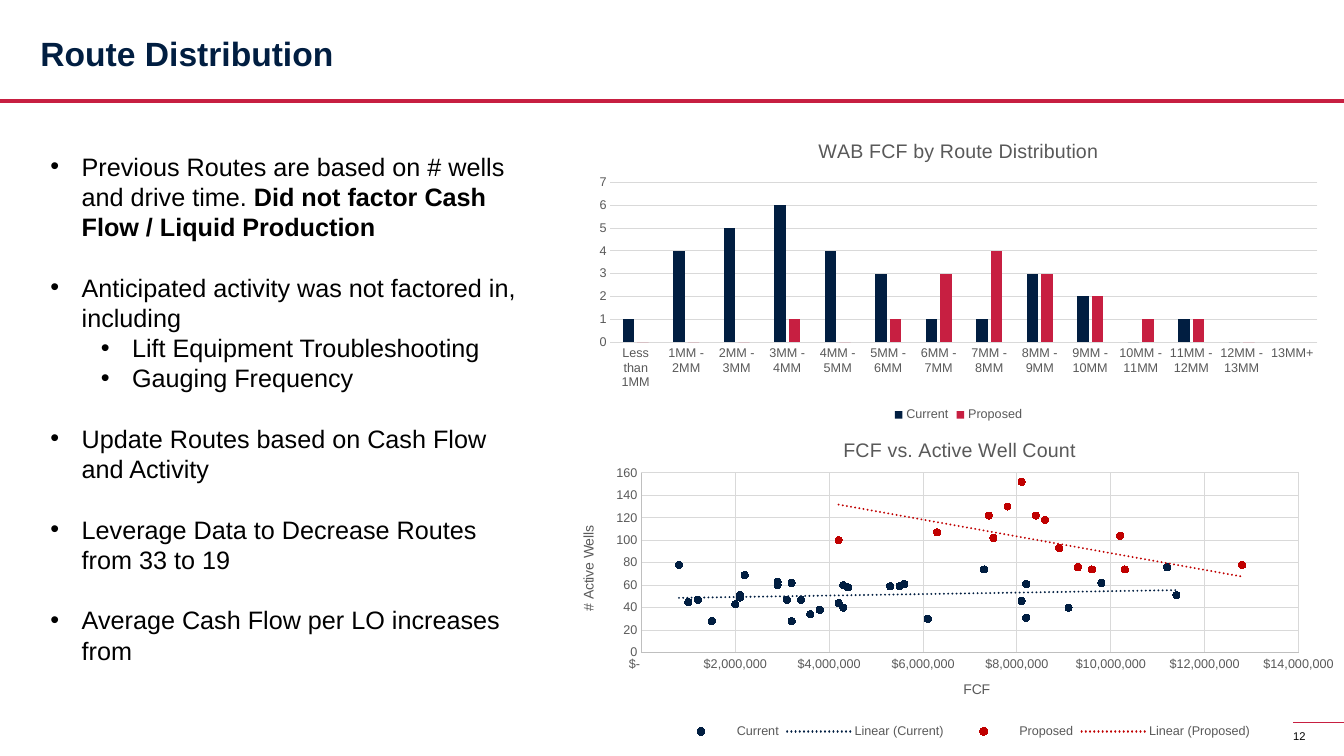
from lxml import etree
from pptx import Presentation
from pptx.chart import data as cd
from pptx.dml.color import RGBColor
from pptx.enum import chart as ce, dml, shapes, text
from pptx.oxml import parse_xml, ns
from pptx.util import Cm, Pt

NAVY = RGBColor(0x01, 0x1E, 0x41)
RED = RGBColor(0xC7, 0x1F, 0x41)
BRICK = RGBColor(0xC0, 0x00, 0x00)
BLACK = RGBColor(0, 0, 0)
GRAY = RGBColor(0x59, 0x59, 0x59)
PALE = RGBColor(0xD9, 0xD9, 0xD9)
MID = RGBColor(0xBF, 0xBF, 0xBF)


def write(para, words, size=18, color=BLACK, bold=False):
    run = para.add_run()
    run.text = words
    font = run.font
    font.name, font.size, font.bold = "Arial", Pt(size), bold
    font.color.rgb = color


def dress(chart, title, edges):
    """Set the title, legend, fonts and axis lines; edges holds a colour or None per axis."""
    chart.font.name, chart.font.size = "Arial", Pt(9)
    chart.font.color.rgb = GRAY
    chart.has_title = True
    write(chart.chart_title.text_frame.paragraphs[0], title, 14, GRAY)
    chart.chart_title.include_in_layout = False
    chart.has_legend = True
    chart.legend.position = ce.XL_LEGEND_POSITION.BOTTOM
    chart.legend.include_in_layout = False
    for axis, edge in zip((chart.category_axis, chart.value_axis), edges):
        axis.major_tick_mark = axis.minor_tick_mark = ce.XL_TICK_MARK.NONE
        if edge:
            axis.format.line.color.rgb = edge
            axis.format.line.width = Pt(0.75)
        else:
            axis.format.line.fill.background()
        if axis.has_major_gridlines:
            grid = axis.major_gridlines.format.line
            grid.color.rgb, grid.width = PALE, Pt(0.75)


prs = Presentation()
prs.slide_width, prs.slide_height = Cm(33.87), Cm(19.05)
slide = prs.slides.add_slide(prs.slide_layouts[5])

# Title, rules and page number
title = slide.shapes.title
title.left, title.top, title.width, title.height = Cm(1.02), Cm(0.46), Cm(24.9), Cm(1.88)
frame = title.text_frame
frame.margin_left = frame.margin_right = frame.margin_top = frame.margin_bottom = 0
frame.vertical_anchor = text.MSO_ANCHOR.MIDDLE
frame.paragraphs[0].alignment = text.PP_ALIGN.LEFT
frame.paragraphs[0].line_spacing = 0.9
write(frame.paragraphs[0], "Route Distribution", 24, NAVY, True)

for left, top, width in ((0, 2.54, 2.75), (32.59, 18.21, 0.5)):
    rule = slide.shapes.add_connector(
        shapes.MSO_CONNECTOR.STRAIGHT, Cm(left), Cm(top), Cm(33.87), Cm(top))
    rule.line.color.rgb, rule.line.width = RED, Pt(width)
    etree.SubElement(rule.element.spPr, ns.qn("a:effectLst"))

page = slide.shapes.add_textbox(Cm(32.59), Cm(18.39), Cm(1.27), Cm(0.66)).text_frame
page.margin_left = page.margin_right = page.margin_top = page.margin_bottom = 0
write(page.paragraphs[0], "12", 8)

# Bullets: level, gap above in points, runs
points = [
    (0, 0, ["Previous Routes are based on # wells and drive time. ",
            "Did not factor Cash Flow / Liquid Production"]),
    (0, 21.6, ["Anticipated activity was not factored in, including"]),
    (1, 0, ["Lift Equipment Troubleshooting"]),
    (1, 0, ["Gauging Frequency"]),
    (0, 21.6, ["Update Routes based on Cash Flow and Activity"]),
    (0, 21.6, ["Leverage Data to Decrease Routes from 33 to 19"]),
    (0, 21.6, ["Average Cash Flow per LO increases from"]),
]
body = slide.shapes.add_textbox(Cm(1.02), Cm(3.68), Cm(12.52), Cm(14.1)).text_frame
body.word_wrap = True
for i, (level, gap, runs) in enumerate(points):
    para = body.add_paragraph() if i else body.paragraphs[0]
    para.level = level
    para.line_spacing, para.space_before = Pt(21.6), Pt(gap)
    props = para._p.get_or_add_pPr()
    props.set("marL", str(Cm(0.79 + 1.27 * level)))
    props.set("indent", str(Cm(-0.79)))
    etree.SubElement(props, ns.qn("a:buFont"), typeface="Arial")
    etree.SubElement(props, ns.qn("a:buChar"), char="•")
    for j, words in enumerate(runs):
        write(para, words, bold=j == 1)

# Column chart
bins = cd.CategoryChartData()
bins.categories = (["Less than 1MM"] + [f"{n}MM - {n + 1}MM" for n in range(1, 13)]
                   + ["13MM+"])
bins.add_series("Current", [1, 4, 5, 6, 4, 3, 1, 1, 3, 2, 0, 1, 0])
bins.add_series("Proposed", [0, 0, 0, 1, 0, 1, 3, 4, 3, 2, 1, 1, 0])
bars = slide.shapes.add_chart(ce.XL_CHART_TYPE.COLUMN_CLUSTERED, Cm(14.73), Cm(3.12),
                              Cm(18.85), Cm(7.62), bins).chart
dress(bars, "WAB FCF by Route Distribution", (PALE, None))
bars.value_axis.maximum_scale, bars.value_axis.major_unit = 7, 1
plot = bars.plots[0]
plot.gap_width, plot.overlap, plot.vary_by_categories = 219, -27, False
for series, color in zip(plot.series, (NAVY, RED)):
    series.format.fill.solid()
    series.format.fill.fore_color.rgb = color

# Scatter chart: cash flow in millions, wells
current = [
    (11.4, 51), (8.1, 46), (9.1, 40), (8.2, 31), (6.1, 30), (4.2, 44), (3.8, 38), (4.3, 40),
    (1.5, 28), (11.2, 76), (5.5, 59), (4.4, 58), (4.3, 60), (8.2, 61), (5.3, 59), (2.9, 63),
    (3.6, 34), (2, 43), (9.8, 62), (2.9, 60), (3.4, 47), (3.2, 28), (3.1, 47), (1.2, 47),
    (7.3, 74), (2.1, 49), (2.1, 51), (2.2, 69), (5.6, 61), (3.2, 62), (1, 45), (0.8, 78)]
proposed = [
    (11.4, 51), (9.6, 74), (12.8, 78), (9.3, 76), (10.3, 74), (7.5, 102), (11.2, 76),
    (8.4, 122), (8.6, 118), (10.2, 104), (8.9, 93), (9.8, 62), (6.3, 107), (7.4, 122),
    (8.1, 152), (4.2, 100), (7.8, 130)]
flows = cd.XyChartData()
for name, pairs in (("Current", current), ("Proposed", proposed)):
    group = flows.add_series(name)
    for flow, wells in pairs:
        group.add_data_point(round(flow * 1000000), wells)
dots = slide.shapes.add_chart(ce.XL_CHART_TYPE.XY_SCATTER, Cm(14.5), Cm(10.64),
                              Cm(19.37), Cm(8.08), flows).chart
dots.category_axis.has_major_gridlines = True
dress(dots, "FCF vs. Active Well Count", (MID, MID))
for axis, label, top, step in ((dots.category_axis, "FCF", 14000000, 2000000),
                               (dots.value_axis, "# Active Wells", 160, 20)):
    write(axis.axis_title.text_frame.paragraphs[0], label, 10, GRAY)
    axis.minimum_scale, axis.maximum_scale, axis.major_unit = 0, top, step
money = dots.category_axis.tick_labels
money.number_format = r'_("$"* #,##0_);_("$"* \(#,##0\);_("$"* "-"??_);_(@_)'
money.number_format_is_linked = False

for series, color in zip(dots.plots[0].series, (NAVY, BRICK)):
    series.format.line.fill.background()
    marks = [(series.marker, color)]
    if series.name == "Proposed":
        shared = [i for i, pair in enumerate(proposed) if pair in current]
        marks += [(series.points[i].marker, NAVY) for i in shared]
    for mark, shade in marks:
        mark.style, mark.size = ce.XL_MARKER_STYLE.CIRCLE, 5
        mark.format.fill.solid()
        mark.format.fill.fore_color.rgb = shade
        mark.format.line.color.rgb = shade
    trend = parse_xml(
        f'<c:trendline {ns.nsdecls("c", "a")}><c:name>Linear ({series.name})</c:name>'
        f'<c:spPr><a:ln w="{Pt(1.5)}" cap="rnd"><a:solidFill><a:srgbClr val="{color}"/>'
        '</a:solidFill><a:prstDash val="sysDot"/></a:ln></c:spPr>'
        '<c:trendlineType val="linear"/><c:dispRSqr val="0"/><c:dispEq val="0"/>'
        '</c:trendline>')
    series._element.find(ns.qn("c:xVal")).addprevious(trend)

area = dots._chartSpace.chart.plotArea
for old in area.findall(ns.qn("c:layout")):
    area.remove(old)
spots = "".join(f'<c:{key} val="{val}"/>' for key, val in (
    ("layoutTarget", "inner"), ("xMode", "edge"), ("yMode", "edge"),
    ("x", 0.086), ("y", 0.158), ("w", 0.855), ("h", 0.561)))
area.insert(0, parse_xml(f'<c:layout {ns.nsdecls("c")}><c:manualLayout>{spots}'
                         '</c:manualLayout></c:layout>'))

prs.save("out.pptx")
